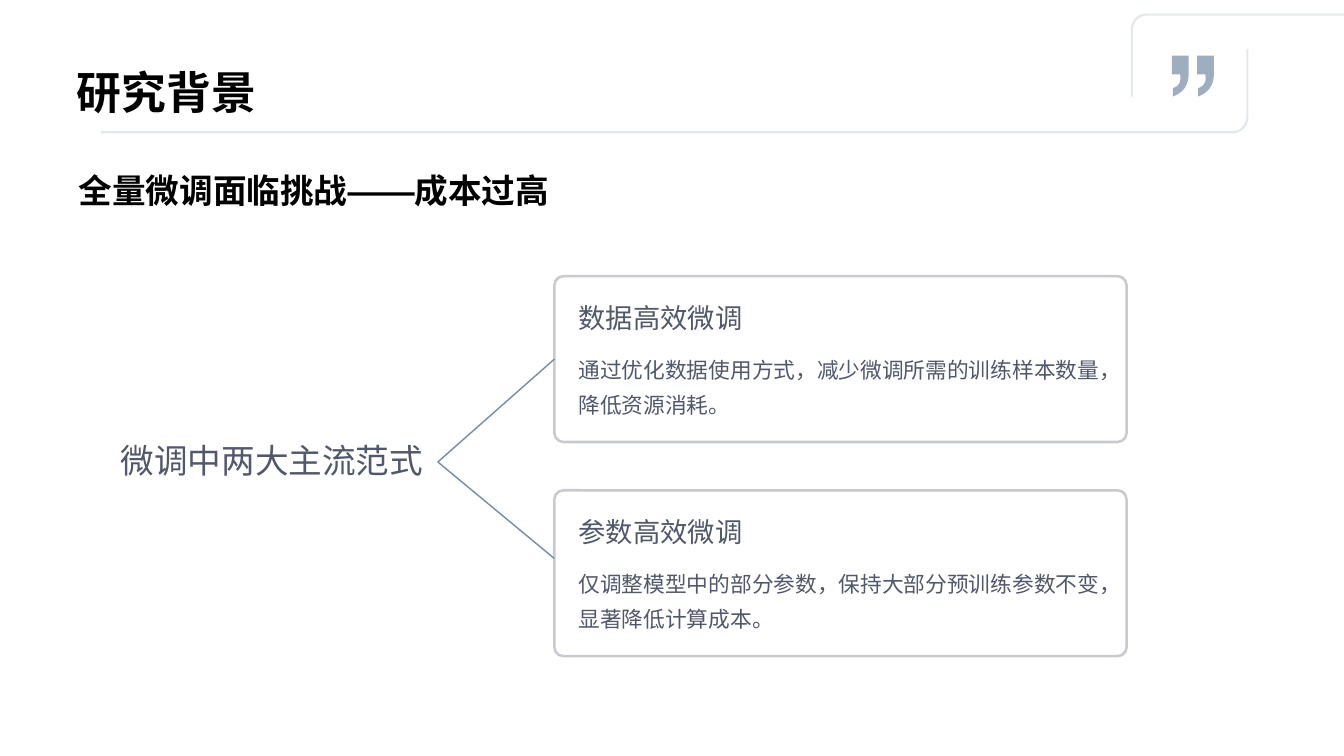
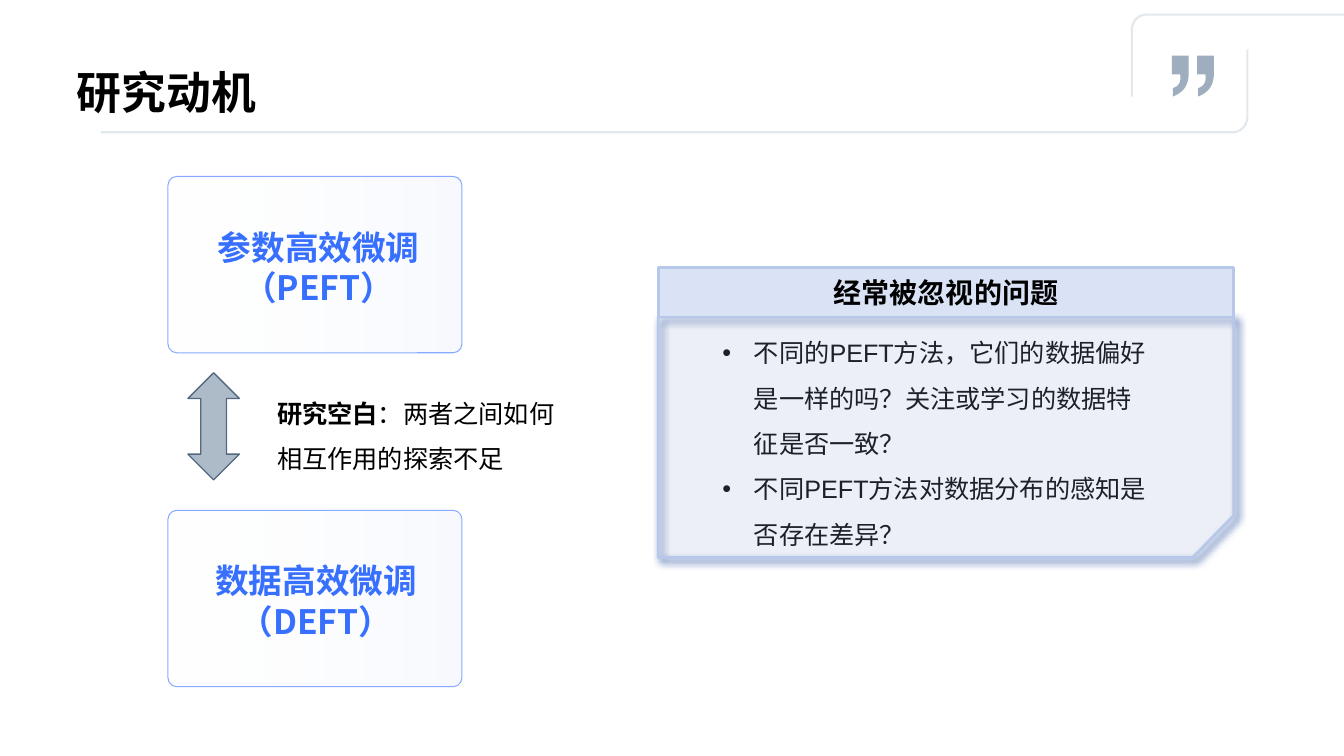
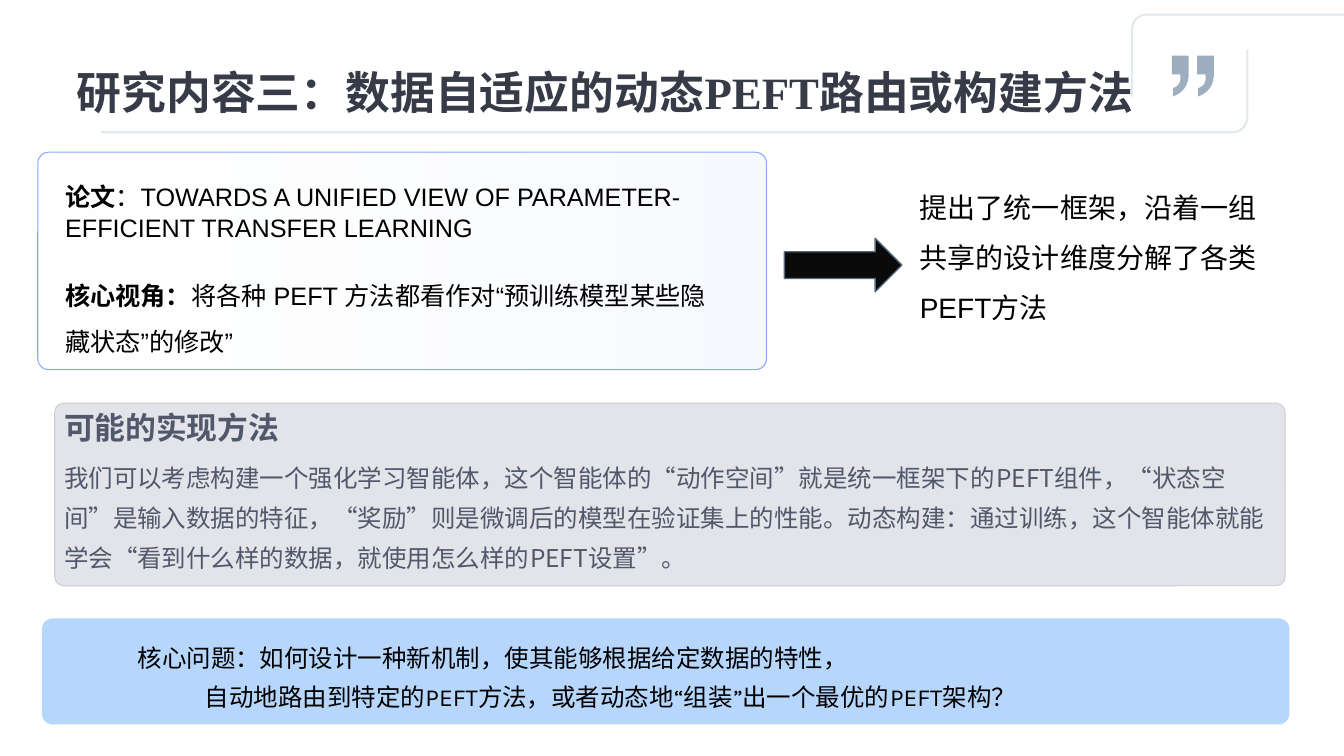
"""Build three slides on parameter-efficient and data-efficient fine-tuning."""
from dataclasses import dataclass
from typing import Optional

import pptx
import pptx.dml.color
import pptx.enum.shapes
import pptx.enum.text
import pptx.oxml.ns
import pptx.oxml.xmlchemy
import pptx.util
from lxml import etree

Pt = pptx.util.Pt
RGB = pptx.dml.color.RGBColor
SHAPE = pptx.enum.shapes.MSO_SHAPE
ALIGN = pptx.enum.text.PP_ALIGN
ANCHOR = pptx.enum.text.MSO_ANCHOR
qn = pptx.oxml.ns.qn

EMU_PER_PX = 9525
BLACK = RGB(0x00, 0x00, 0x00)
WHITE = RGB(0xFF, 0xFF, 0xFF)
STEEL = RGB(0x76, 0x8C, 0xA4)
SLATE = RGB(0x52, 0x58, 0x6B)
INK = RGB(0x37, 0x3B, 0x48)
SILVER = RGB(0xC8, 0xCA, 0xCF)
MIST = RGB(0xE2, 0xE4, 0xE9)
BLUE = RGB(0x37, 0x6F, 0xFF)
CARD_EDGE = RGB(0x87, 0xA9, 0xFF)
CARD_START = RGB(0xF5, 0xF8, 0xFF)
CARD_END = RGB(0xD7, 0xE2, 0xFF)
ARROW_FILL = RGB(0xAD, 0xBA, 0xC8)
ARROW_EDGE = RGB(0x54, 0x69, 0x7F)
ARROW_BLACK = RGB(0x0A, 0x0A, 0x0A)
PANEL_EDGE = RGB(0xB6, 0xC7, 0xEA)
PANEL_HEAD = RGB(0xDA, 0xE3, 0xF5)
SHADOW = RGB(0x2E, 0x54, 0xA1)
SKY = RGB(0xB6, 0xD6, 0xFC)
CJK = "Noto Sans CJK SC"
ZERO = (0, 0, 0, 0)
DEFAULT_INSET = (10, 5, 10, 5)


@dataclass(frozen=True)
class Box:
    """Rectangle in px."""
    x: int
    y: int
    w: int
    h: int

    def emu(self) -> tuple:
        """Return left, top, width and height in EMU."""
        return tuple(px(v) for v in (self.x, self.y, self.w, self.h))


@dataclass(frozen=True)
class Run:
    """Piece of text with its own format."""
    text: str
    bold: Optional[bool] = None
    font: Optional[str] = None


@dataclass(frozen=True)
class Paradigm:
    """Outlined card with a heading and an explanation."""
    y: int
    heading: str
    body: str


@dataclass(frozen=True)
class MethodCard:
    """Gradient card with a two-line label."""
    y: int
    label_x: int
    label_w: int
    lines: tuple


def px(value: float) -> int:
    """Turn px into EMU."""
    return round(value * EMU_PER_PX)


def write(tf, paragraphs, *, size, color=BLACK, font="Arial", bold=False,
          align=ALIGN.LEFT, spacing=None, anchor=ANCHOR.TOP,
          inset=DEFAULT_INSET, indents=(), bullet=None) -> None:
    """Fill a text frame with formatted paragraphs of text or runs."""
    tf.word_wrap = True
    tf.auto_size = pptx.enum.text.MSO_AUTO_SIZE.NONE
    tf.vertical_anchor = anchor
    tf.margin_left, tf.margin_top, tf.margin_right, tf.margin_bottom = map(px, inset)
    for i, runs in enumerate(paragraphs):
        p = tf.paragraphs[0] if i == 0 else tf.add_paragraph()
        p.alignment = align
        p.space_before = p.space_after = Pt(0)
        if spacing:
            p.line_spacing = spacing
        pPr = p._p.get_or_add_pPr()
        if indents:
            left, first = indents[i]
            pPr.set("marL", str(px(left)))
            pPr.set("indent", str(px(first)))
        if bullet:
            etree.SubElement(pPr, qn("a:buFont")).set("typeface", "Arial")
            etree.SubElement(pPr, qn("a:buChar")).set("char", bullet)
        for piece in [Run(runs)] if isinstance(runs, str) else runs:
            r = p.add_run()
            r.text = piece.text
            r.font.size = Pt(size)
            r.font.bold = bold if piece.bold is None else piece.bold
            r.font.color.rgb = color
            r.font.name = piece.font or font
            ea = etree.SubElement(r._r.get_or_add_rPr(), qn("a:ea"))
            ea.set("typeface", r.font.name)


def add_text(slide, box: Box, paragraphs, **style):
    """Add a text box."""
    sp = slide.shapes.add_textbox(*box.emu())
    write(sp.text_frame, paragraphs, **style)
    return sp


def set_alpha(sp, *percents: int) -> None:
    """Set the opacity of the colours of a shape, in their order."""
    colors = list(sp._element.spPr.iter(qn("a:srgbClr")))
    for clr, percent in zip(colors, percents):
        etree.SubElement(clr, qn("a:alpha")).set("val", str(percent * 1000))


def paint(sp, fill=None, line=None, width=1.0) -> None:
    """Set fill and line, and drop the shadow."""
    sp.shadow.inherit = False
    if fill is None:
        sp.fill.background()
    else:
        sp.fill.solid()
        sp.fill.fore_color.rgb = fill
    if line is None:
        sp.line.fill.background()
    else:
        sp.line.color.rgb = line
        sp.line.width = Pt(width)


def add_shape(slide, kind, box: Box, fill=None, line=None, width=1.0, adj=None):
    """Add a preset shape."""
    sp = slide.shapes.add_shape(kind, *box.emu())
    paint(sp, fill, line, width)
    if adj is not None:
        sp.adjustments[0] = adj
    return sp


def add_gradient_card(slide, box: Box):
    """Add a rounded card with a pale see-through gradient."""
    sp = add_shape(slide, SHAPE.ROUNDED_RECTANGLE, box, WHITE, CARD_EDGE, 0.75, 0.05)
    sp.fill.gradient()
    sp.fill.gradient_angle = 0
    for stop, color, position in zip(sp.fill.gradient_stops, (CARD_START, CARD_END), (0, 1)):
        stop.color.rgb = color
        stop.position = position
    set_alpha(sp, 0, 20)
    return sp


def add_link(slide, start: tuple, end: tuple):
    """Add a thin straight connector."""
    cx = slide.shapes.add_connector(
        pptx.enum.shapes.MSO_CONNECTOR.STRAIGHT, *map(px, start + end))
    cx.line.color.rgb = STEEL
    cx.line.width = Pt(1)
    etree.SubElement(cx._element.spPr, qn("a:effectLst"))
    return cx


def curve(*ctrl, steps: int = 12) -> list:
    """Return points along a cubic curve, its start left out."""
    points = []
    for i in range(1, steps + 1):
        t = i / steps
        weights = ((1 - t) ** 3, 3 * t * (1 - t) ** 2, 3 * t * t * (1 - t), t ** 3)
        points.append(tuple(sum(w * c[axis] for w, c in zip(weights, ctrl)) for axis in (0, 1)))
    return points


def add_outline(slide, points, close=False):
    """Add a freeform through px points."""
    start, *rest = [tuple(map(px, point)) for point in points]
    fb = slide.shapes.build_freeform(*start)
    fb.add_line_segments(rest, close=close)
    return fb.convert_to_shape()


def add_master_decoration(prs, slide) -> None:
    """Draw the frame and quote mark, and move them to the master."""
    decoration = []
    for dx in (0, 24):
        inner = [(1117 + dx, 84), (1123 + dx, 82), (1125 + dx, 78), (1124 + dx, 71)]
        outer = [(1132 + dx, 73), (1131 + dx, 82), (1127 + dx, 88), (1117 + dx, 92)]
        sp = add_outline(slide, [
            (1117 + dx, 92), inner[0], *curve(*inner), (1116 + dx, 71),
            (1116 + dx, 53), (1132 + dx, 53), outer[0], *curve(*outer)], close=True)
        paint(sp, STEEL)
        set_alpha(sp, 70)
        decoration.append(sp)
    top = [(1078, 29), (1078, 20), (1084, 14), (1092, 14)]
    bottom = [(1174, 126), (1182, 126), (1188, 119), (1188, 111)]
    for points in ([(1078, 92), top[0], *curve(*top), (1280, 14)],
                   [(96, 126), bottom[0], *curve(*bottom), (1188, 47)]):
        sp = add_outline(slide, points)
        paint(sp, line=STEEL, width=1.5)
        set_alpha(sp, 20)
        decoration.append(sp)
    for i, sp in enumerate(decoration):
        sp._element.nvSpPr.cNvPr.set("id", str(100 + i))
        prs.slide_master.shapes._spTree.append(sp._element)


def place(sp, box: Box) -> None:
    """Move and size a shape."""
    sp.left, sp.top, sp.width, sp.height = box.emu()


def add_slide(prs, layout: int, title, color=BLACK, font="Arial"):
    """Add a slide with its formatted title."""
    slide = prs.slides.add_slide(prs.slide_layouts[layout])
    place(slide.shapes.title, Box(73, 37, 1134, 76))
    write(slide.shapes.title.text_frame, [title], size=32, color=color, font=font,
          bold=True, anchor=ANCHOR.BOTTOM, inset=ZERO)
    return slide


def build_background(prs):
    """Build the slide on the two fine-tuning paradigms."""
    slide = add_slide(prs, 5, "研究背景")
    add_text(slide, Box(65, 157, 500, 48), ["全量微调面临挑战——成本过高"], size=24, bold=True)
    cards = []
    for item in (
        Paradigm(263, "数据高效微调", "通过优化数据使用方式，减少微调所需的训练样本数量，降低资源消耗。"),
        Paradigm(467, "参数高效微调", "仅调整模型中的部分参数，保持大部分预训练参数不变，显著降低计算成本。"),
    ):
        cards.append(add_shape(slide, SHAPE.ROUNDED_RECTANGLE, Box(528, item.y, 545, 158),
                               WHITE, SILVER, 1.8, 0.055))
        add_text(slide, Box(551, item.y + 23, 260, 33), [item.heading], size=19.5,
                 color=SLATE, font=CJK, spacing=Pt(24), inset=ZERO)
        add_text(slide, Box(551, item.y + 68, 518, 66), [item.body], size=15.5,
                 color=SLATE, font=CJK, spacing=Pt(25), inset=ZERO)
    add_text(slide, Box(105, 412, 341, 56), ["微调中两大主流范式"], size=24,
             color=SLATE, font=CJK, spacing=Pt(30))
    add_link(slide, (417, 440), (528, 342)).end_connect(cards[0], 1)
    add_link(slide, (417, 440), (528, 532))
    return slide


def build_motivation(prs) -> None:
    """Build the slide on the research gap and overlooked questions."""
    slide = add_slide(prs, 1, "研究动机")
    body = slide.placeholders[1]
    place(body, Box(678, 302, 426, 228))
    write(body.text_frame, [
        "不同的PEFT方法，它们的数据偏好是一样的吗？关注或学习的数据特征是否一致？",
        "不同PEFT方法对数据分布的感知是否存在差异？",
    ], size=18, spacing=1.5, indents=[(30, -30)] * 2, bullet="•")
    for card in (MethodCard(168, 184, 239, ("参数高效微调", "（PEFT）")),
                 MethodCard(486, 179, 244, ("数据高效微调", "（DEFT）"))):
        add_gradient_card(slide, Box(160, card.y, 280, 168))
        add_text(slide, Box(card.label_x, card.y, card.label_w, 168), card.lines, size=24,
                 color=BLUE, font=CJK, bold=True, align=ALIGN.CENTER, spacing=Pt(29),
                 anchor=ANCHOR.MIDDLE, inset=(0, 4, 0, 0))
    add_text(slide, Box(254, 360, 305, 109),
             [[Run("研究空白", bold=True), Run("：两者之间如何相互作用的探索不足")]],
             size=18, spacing=1.5)
    add_shape(slide, SHAPE.UP_DOWN_ARROW, Box(179, 355, 49, 102), ARROW_FILL, ARROW_EDGE)
    panel = add_outline(slide, [(627, 302), (1175, 302), (1175, 491), (1136, 531), (627, 531)],
                        close=True)
    paint(panel, WHITE, PANEL_EDGE, 2)
    set_alpha(panel, 10)
    effects = panel._element.spPr.find(qn("a:effectLst"))
    shadow = etree.SubElement(effects, qn("a:outerShdw"), blurRad=str(Pt(6)),
                              dist=str(Pt(3)), dir=str(45 * 60000))
    clr = etree.SubElement(shadow, qn("a:srgbClr"), val=str(SHADOW))
    etree.SubElement(clr, qn("a:alpha"), val="10000")
    head = add_shape(slide, SHAPE.RECTANGLE, Box(627, 255, 548, 47), PANEL_HEAD, PANEL_EDGE, 2)
    write(head.text_frame, ["经常被忽视的问题"], size=20, font="Calibri", bold=True,
          align=ALIGN.CENTER, anchor=ANCHOR.MIDDLE)


def build_routing(prs) -> None:
    """Build the slide on data-adaptive routing."""
    slide = add_slide(prs, 5, [Run("研究内容三：数据自适应的动态"),
                               Run("PEFT", font="Times New Roman"),
                               Run("路由或构建方法")], color=INK, font="Roboto")
    add_shape(slide, SHAPE.ROUNDED_RECTANGLE, Box(40, 589, 1188, 101), SKY, adj=0.1)
    add_text(slide, Box(131, 602, 1076, 77), [
        "核心问题：如何设计一种新机制，使其能够根据给定数据的特性，",
        "自动地路由到特定的PEFT方法，或者动态地“组装”出一个最优的PEFT架构？",
    ], size=17.5, font="Karla", spacing=Pt(28.5), inset=ZERO, indents=[(0, 0), (64, 0)])
    add_gradient_card(slide, Box(36, 145, 694, 207))
    add_text(slide, Box(52, 168, 643, 68),
             [[Run("论文", bold=True),
               Run("：TOWARDS A UNIFIED VIEW OF PARAMETER-EFFICIENT TRANSFER LEARNING")]], size=18)
    add_text(slide, Box(52, 248, 640, 97),
             [[Run("核心视角：", bold=True),
               Run("将各种 PEFT 方法都看作对“预训练模型某些隐藏状态”的修改”")]],
             size=18, spacing=1.5)
    add_shape(slide, SHAPE.RIGHT_ARROW, Box(747, 227, 112, 51), ARROW_BLACK, ARROW_EDGE)
    add_text(slide, Box(866, 160, 352, 155),
             ["提出了统一框架，沿着一组共享的设计维度分解了各类PEFT方法"], size=20, spacing=1.5)
    add_shape(slide, SHAPE.ROUNDED_RECTANGLE, Box(52, 384, 1172, 174), MIST, SILVER, 0.6, 0.05)
    add_text(slide, Box(61, 388, 551, 30), ["可能的实现方法"], size=22, color=SLATE, font=CJK,
             bold=True, spacing=Pt(27.5), inset=ZERO)
    add_text(slide, Box(61, 431, 1146, 92), [
        "我们可以考虑构建一个强化学习智能体，这个智能体的“动作空间”就是统一框架下的PEFT组件，"
        "“状态空间”是输入数据的特征，“奖励”则是微调后的模型在验证集上的性能。"
        "动态构建：通过训练，这个智能体就能学会“看到什么样的数据，就使用怎么样的PEFT设置”。",
    ], size=17.5, color=SLATE, font=CJK, spacing=Pt(28.5), inset=ZERO)


def main() -> None:
    """Build and save the presentation."""
    prs = pptx.Presentation()
    prs.slide_width, prs.slide_height = px(1280), px(720)
    add_master_decoration(prs, build_background(prs))
    build_motivation(prs)
    build_routing(prs)
    prs.save("out.pptx")


if __name__ == "__main__":
    main()
